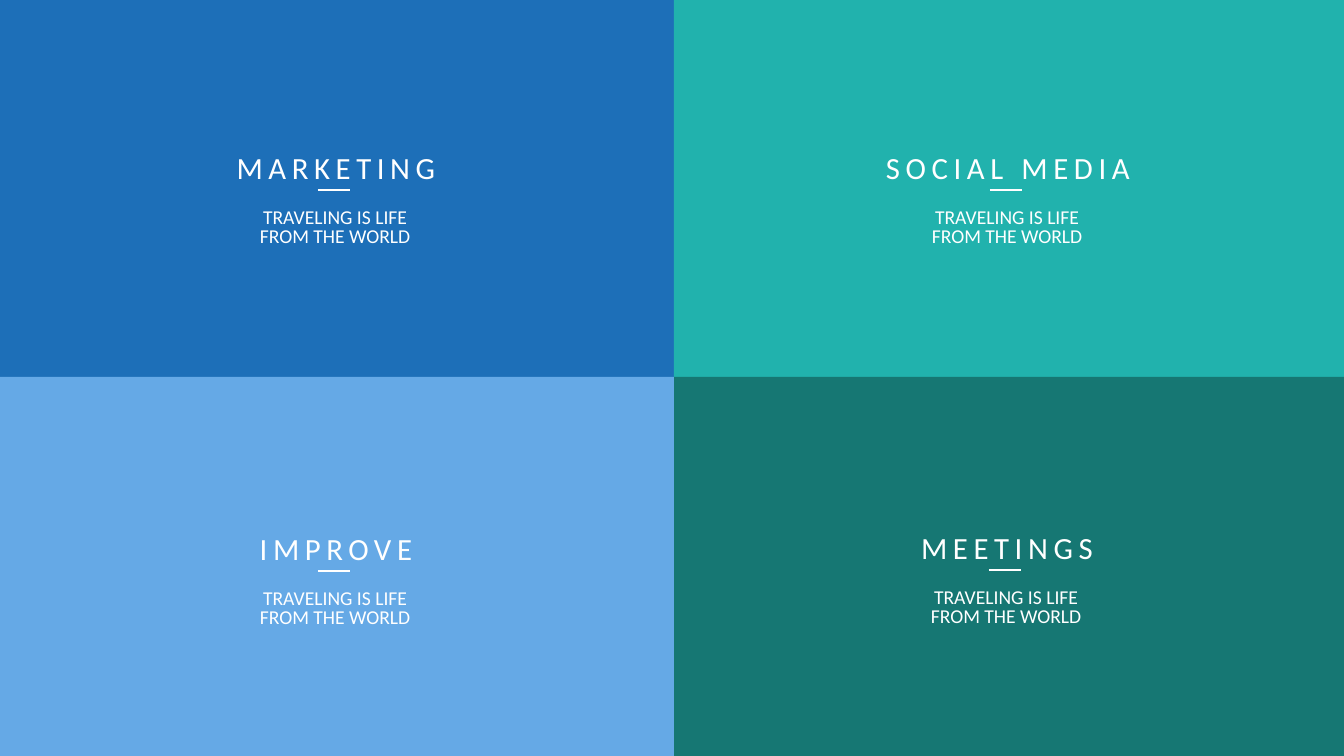
"""Build a slide of four coloured topic panels."""
from lxml import etree
from pptx import Presentation
from pptx import util as u
from pptx.dml.color import RGBColor
from pptx.enum import shapes, text
from pptx.oxml.ns import qn

PX = 914400 / 50.4
WIDTH, HEIGHT = 1344, 756
SPLIT_X, SPLIT_Y = 674, 377
WHITE = "FFFFFF"
TAGLINE = ["TRAVELING IS LIFE", "FROM THE WORLD"]

# title, fill, column, row, centre x, rule y, title width
PANELS = [
    ("MARKETING", "1D6FB8", 0, 0, 335, 190, 207),
    ("SOCIAL MEDIA", "21B2AD", 1, 0, 1007, 190, 252),
    ("MEETINGS", "167773", 1, 1, 1006, 570, 179),
    ("IMPROVE", "65A9E6", 0, 1, 335, 571, 160),
]
TITLE_HEIGHT, TITLE_RISE = 47, 54
TAGLINE_WIDTH, TAGLINE_HEIGHT, TAGLINE_DROP = 239, 44, 17
RULE_WIDTH = 32


def emu(px):
    return u.Emu(round(px * PX))


def colour(value):
    return RGBColor.from_string(value)


def add_panel(slide, column, row, fill):
    xs, ys = (0, SPLIT_X, WIDTH), (0, SPLIT_Y, HEIGHT)
    left, top = xs[column], ys[row]
    panel = slide.shapes.add_shape(
        shapes.MSO_SHAPE.RECTANGLE, emu(left), emu(top),
        emu(xs[column + 1] - left), emu(ys[row + 1] - top))
    panel.shadow.inherit = False
    panel.fill.solid()
    panel.fill.fore_color.rgb = colour(fill)
    panel.line.fill.background()


def add_rule(slide, centre, y):
    left = centre - 1 - RULE_WIDTH / 2
    rule = slide.shapes.add_connector(
        shapes.MSO_CONNECTOR.STRAIGHT, emu(left), emu(y), emu(left + RULE_WIDTH), emu(y))
    rule.line.color.rgb = colour(WHITE)
    rule.line.width = u.Pt(3)
    etree.SubElement(rule._element.spPr, qn("a:effectLst"))


def add_text(slide, lines, *, centre, top, width, height, size, leading,
             tracking=0, wrap=True, inset=True, anchor=text.MSO_ANCHOR.TOP):
    box = slide.shapes.add_textbox(
        emu(centre - width / 2), emu(top), emu(width), emu(height))
    frame = box.text_frame
    frame.word_wrap = wrap
    frame.auto_size = text.MSO_AUTO_SIZE.SHAPE_TO_FIT_TEXT
    frame.vertical_anchor = anchor
    if not inset:
        frame.margin_left = frame.margin_right = frame.margin_top = frame.margin_bottom = 0
    for index, line in enumerate(lines):
        paragraph = frame.add_paragraph() if index else frame.paragraphs[0]
        paragraph.alignment = text.PP_ALIGN.CENTER
        paragraph.line_spacing = u.Pt(leading)
        run = paragraph.add_run()
        run.text = line
        run.font.name = "Calibri"
        run.font.size = u.Pt(size)
        run.font.color.rgb = colour(WHITE)
        if tracking:
            run.font._element.set("spc", str(tracking * 100))


def main():
    deck = Presentation()
    deck.slide_width, deck.slide_height = emu(WIDTH), emu(HEIGHT)
    slide = deck.slides.add_slide(deck.slide_layouts[6])
    for _, fill, column, row, *_ in PANELS:
        add_panel(slide, column, row, fill)
    for title, _, _, _, centre, rule_y, title_width in PANELS:
        add_rule(slide, centre, rule_y)
        add_text(slide, [title], centre=centre + 1, top=rule_y - TITLE_RISE,
                 width=title_width, height=TITLE_HEIGHT, size=44, leading=74,
                 tracking=8, wrap=False, inset=False, anchor=text.MSO_ANCHOR.MIDDLE)
        add_text(slide, TAGLINE, centre=centre, top=rule_y + TAGLINE_DROP,
                 width=TAGLINE_WIDTH, height=TAGLINE_HEIGHT, size=28, leading=26.8)
    deck.save("out.pptx")


if __name__ == "__main__":
    main()
